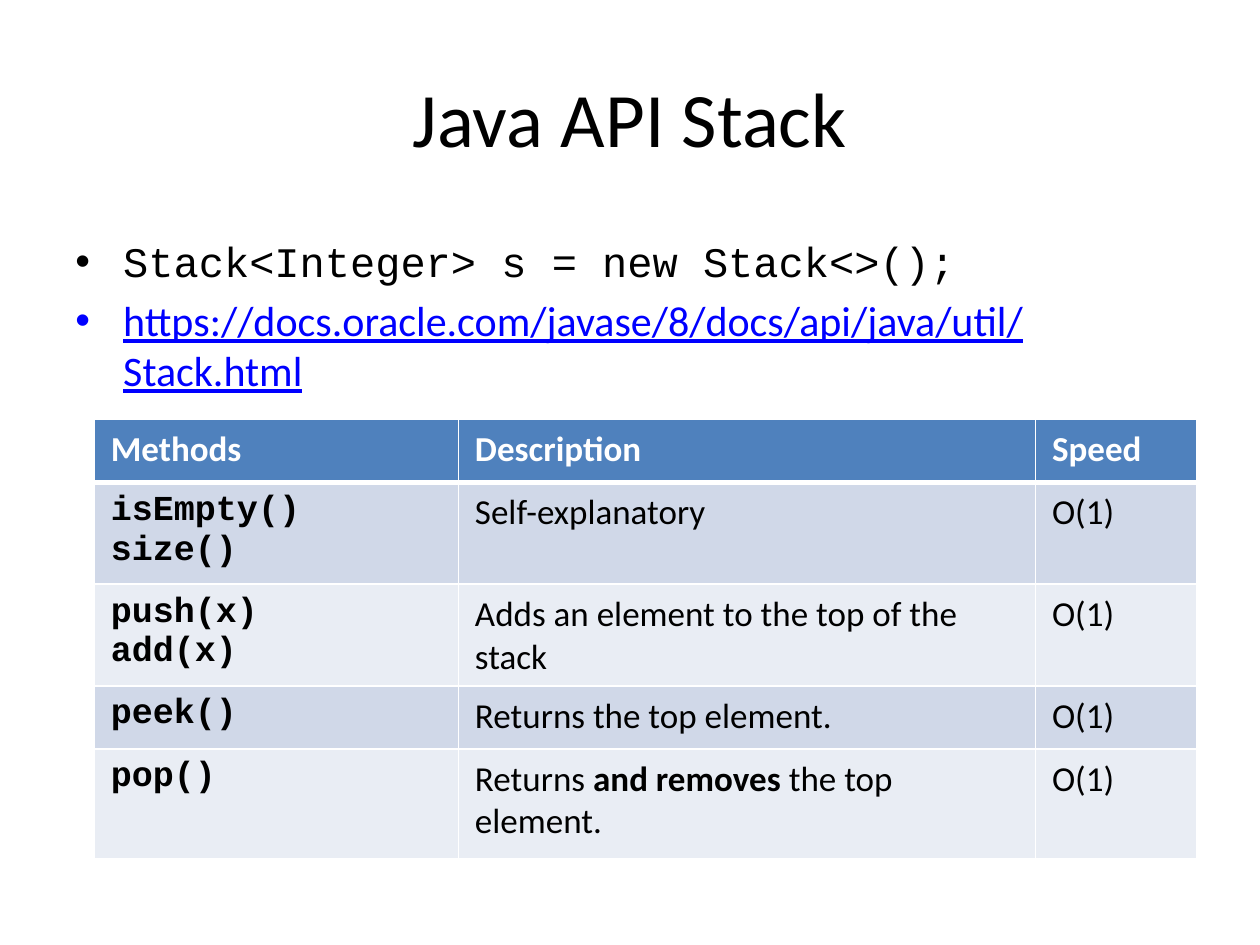
"""Build the Java API Stack slide with its table of methods."""
from lxml import etree
from pptx import Presentation
from pptx.dml.color import RGBColor
from pptx.enum.text import MSO_ANCHOR, PP_ALIGN
from pptx.oxml.ns import qn
from pptx.util import Inches, Pt

MIDDLE, TOP, CENTER = MSO_ANCHOR.MIDDLE, MSO_ANCHOR.TOP, PP_ALIGN.CENTER
SANS, MONO = "Calibri", "Courier New"
BLACK, WHITE, LINK = "000000", "FFFFFF", "0000FF"
HEADER_FILL, BAND_FILLS = "4F81BD", ("D0D8E8", "E9EDF4")

TITLE = "Java API Stack"
BULLETS = [
    ("Stack<Integer> s = new Stack<>();", MONO, BLACK, False),
    ("https://docs.oracle.com/javase/8/docs/api/java/util/Stack.html", SANS, LINK, True),
]
HEADINGS = ["Methods", "Description", "Speed"]
METHODS = [
    (["isEmpty()", "size()"], [("Self-explanatory", False)], "O(1)"),
    (["push(x)", "add(x)"], [("Adds an element to the top of the stack", False)], "O(1)"),
    (["peek()"], [("Returns the top element.", False)], "O(1)"),
    (["pop()"],
     [("Returns ", False), ("and removes", True), (" the top element.", False)], "O(1)"),
]
COLUMN_WIDTHS = [2.89, 4.58, 1.28]
ROW_HEIGHTS = [0.5, 0.75, 0.75, 0.5, 0.87]


def rgb(value):
    return RGBColor.from_string(value)


def add_run(paragraph, text, size, font=SANS, color=BLACK, bold=False, underline=False):
    run = paragraph.add_run()
    run.text = text
    run.font.name, run.font.size = font, Pt(size)
    run.font.bold, run.font.underline = bold, underline
    run.font.color.rgb = rgb(color)


def add_frame(slide, left, top, width, height, anchor):
    frame = slide.shapes.add_textbox(*map(Inches, (left, top, width, height))).text_frame
    frame.word_wrap, frame.vertical_anchor = True, anchor
    return frame


def paragraphs(frame, count):
    return [frame.paragraphs[0]] + [frame.add_paragraph() for _ in range(count - 1)]


def set_bullet(paragraph):
    properties = paragraph._p.get_or_add_pPr()
    properties.set("marL", str(Inches(0.38)))
    properties.set("indent", str(Inches(-0.38)))
    etree.SubElement(properties, qn("a:buFont"), typeface="Arial")
    etree.SubElement(properties, qn("a:buChar"), char="•")


def set_borders(cell, bottom):
    properties = cell._tc.get_or_add_tcPr()
    for index, (side, width) in enumerate((("L", 1), ("R", 1), ("T", 1), ("B", bottom))):
        line = etree.Element(qn(f"a:ln{side}"), w=str(Pt(width)))
        fill = etree.SubElement(line, qn("a:solidFill"))
        etree.SubElement(fill, qn("a:srgbClr"), val=WHITE)
        properties.insert(index, line)


def style_cell(cell, fill, bottom=1):
    cell.margin_left = cell.margin_right = Inches(0.13)
    cell.margin_top = cell.margin_bottom = Inches(0.07)
    cell.fill.solid()
    cell.fill.fore_color.rgb = rgb(fill)
    set_borders(cell, bottom)


def add_methods(slide):
    table = slide.shapes.add_table(
        len(METHODS) + 1, len(HEADINGS), Inches(0.75), Inches(3.33),
        Inches(sum(COLUMN_WIDTHS)), Inches(sum(ROW_HEIGHTS))).table
    for column, width in zip(table.columns, COLUMN_WIDTHS):
        column.width = Inches(width)
    for row, height in zip(table.rows, ROW_HEIGHTS):
        row.height = Inches(height)

    for column, heading in enumerate(HEADINGS):
        cell = table.cell(0, column)
        style_cell(cell, HEADER_FILL, bottom=3)
        add_run(cell.text_frame.paragraphs[0], heading, 20, color=WHITE, bold=True)

    for row, (calls, description, speed) in enumerate(METHODS, 1):
        cells = [table.cell(row, column) for column in range(len(HEADINGS))]
        for cell in cells:
            style_cell(cell, BAND_FILLS[(row - 1) % 2])
        call_frame, description_frame, speed_frame = (cell.text_frame for cell in cells)
        for paragraph, call in zip(paragraphs(call_frame, len(calls)), calls):
            add_run(paragraph, call, 20, MONO, bold=True)
        for text, bold in description:
            add_run(description_frame.paragraphs[0], text, 20, bold=bold)
        add_run(speed_frame.paragraphs[0], speed, 20)


def main():
    deck = Presentation()
    deck.slide_width, deck.slide_height = Inches(10), Inches(7.5)
    slide = deck.slides.add_slide(deck.slide_layouts[6])

    title = add_frame(slide, 0.5, 0.3, 9, 1.25, MIDDLE).paragraphs[0]
    title.alignment = CENTER
    add_run(title, TITLE, 44)

    body = add_frame(slide, 0.5, 1.75, 9, 4.95, TOP)
    body.margin_top = Inches(0.12)
    for index, (text, font, color, underline) in enumerate(BULLETS):
        paragraph = paragraphs(body, index + 1)[-1]
        set_bullet(paragraph)
        if index:
            paragraph.space_before = Pt(4.8)
        add_run(paragraph, text, 24, font, color, underline=underline)

    add_methods(slide)
    deck.save("out.pptx")


if __name__ == "__main__":
    main()
